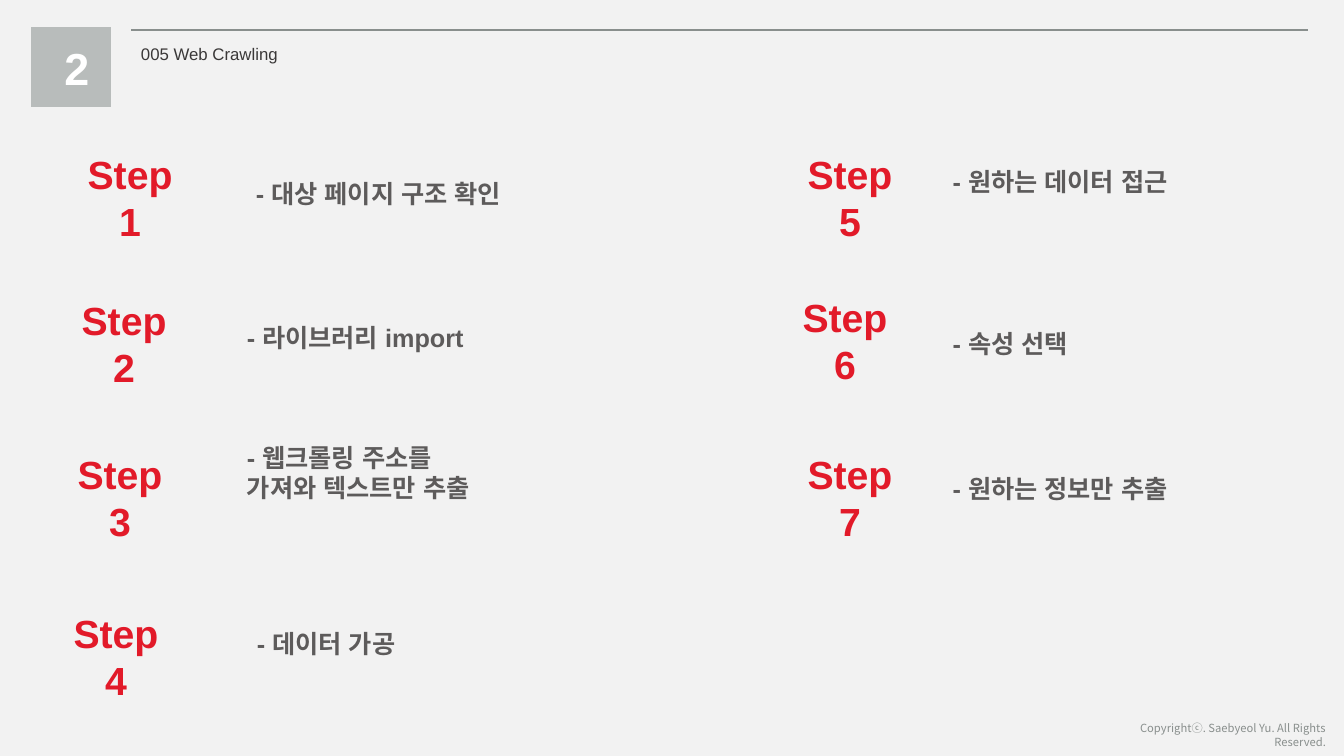
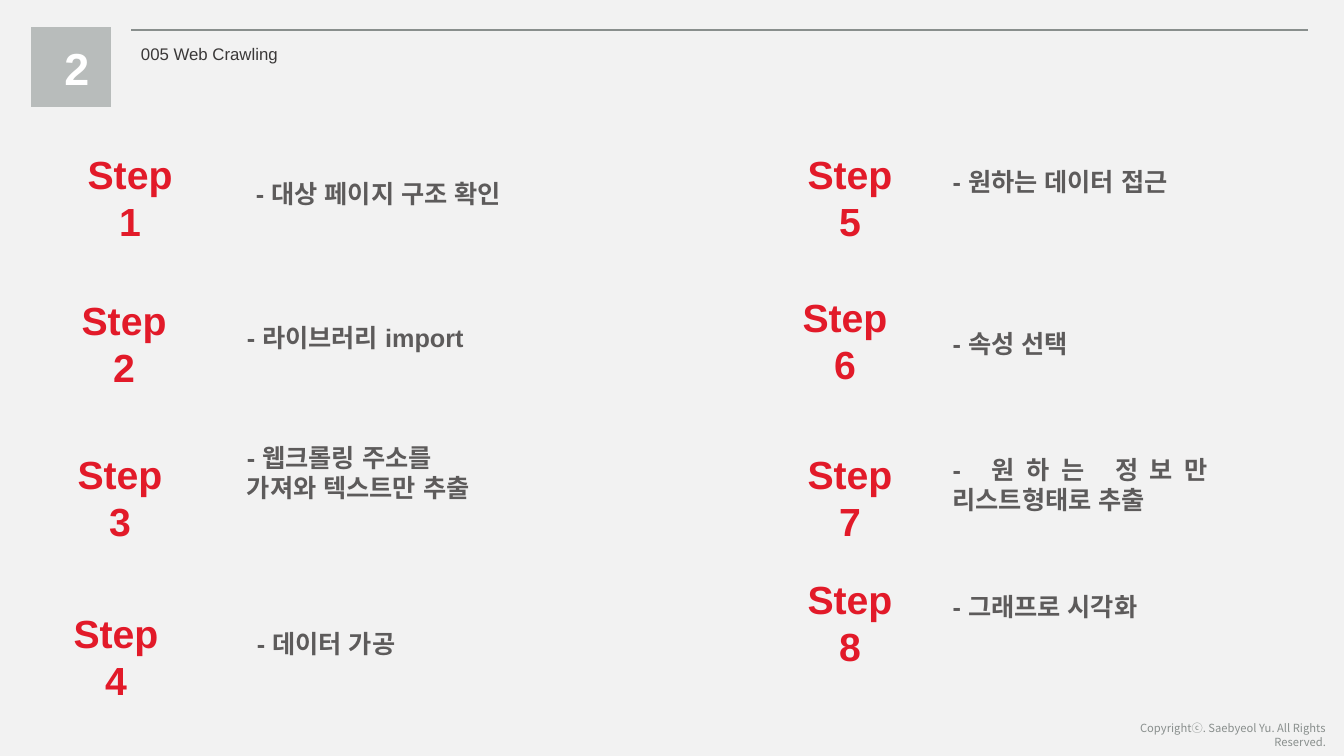
from pptx import Presentation
from pptx.dml.color import RGBColor
from pptx.enum import shapes, text
from pptx.oxml.ns import qn
from pptx.util import Inches, Pt
from lxml import etree

COLORS = {
    "paper": "F2F2F2", "badge": "B8BCBB", "rule": "898F8D", "white": "FFFFFF",
    "title": "3A3838", "step": "E21A29", "body": "5D5B5B",
}
ALIGN = text.PP_ALIGN

# Text styles shared by both slides
STYLES = {
    "badge": {"size": Pt(32), "bold": True, "name": "Arial"},
    "title": {"size": Pt(12), "bold": False, "name": "Arial"},
    "step": {"size": Pt(28), "bold": True, "name": "Arial"},
    "body": {"size": Pt(18), "bold": True, "name": "Arial"},
    "footer": {"size": Pt(8), "bold": False, "name": "Noto Sans CJK KR"},
}

# Step number: left and top of its label
LABELS = {
    1: (0.68, 1.44), 2: (0.62, 2.89), 3: (0.58, 4.42), 4: (0.54, 6),
    5: (7.82, 1.44), 6: (7.77, 2.86), 7: (7.82, 4.42), 8: (7.82, 5.66),
}

# Step number: left, top, width, height, alignment and wording
COMMON_STEPS = {
    1: (2.44, 1.72, 2.83, 0.4, ALIGN.JUSTIFY, "- 대상 페이지 구조 확인"),
    2: (2.35, 3.15, 2.83, 0.4, ALIGN.JUSTIFY, "- 라이브러리 import"),
    3: (2.35, 4.34, 2.71, 0.71, ALIGN.LEFT, "- 웹크롤링 주소를\n가져와 텍스트만 추출"),
    4: (2.45, 6.18, 2.73, 0.4, ALIGN.JUSTIFY, "- 데이터 가공"),
    5: (9.35, 1.6, 2.73, 0.4, ALIGN.JUSTIFY, "- 원하는 데이터 접근"),
    6: (9.35, 3.21, 2.73, 0.4, ALIGN.JUSTIFY, "- 속성 선택"),
}
EXTRACT_TEXT = {
    7: (9.35, 4.65, 2.73, 0.4, ALIGN.JUSTIFY, "- 원하는 정보만 추출"),
}
EXTRACT_AND_PLOT = {
    7: (9.35, 4.46, 2.73, 0.71, ALIGN.JUSTIFY, "- 원하는 정보만 리스트형태로 추출"),
    8: (9.35, 5.82, 2.73, 0.4, ALIGN.JUSTIFY, "- 그래프로 시각화"),
}


def color(name):
    return RGBColor.from_string(COLORS[name])


def add_text(page, wording, place, style, tint, align=ALIGN.LEFT, wrap=True):
    box = page.shapes.add_textbox(*map(Inches, place))
    frame = box.text_frame
    frame.word_wrap = wrap
    frame.auto_size = text.MSO_AUTO_SIZE.SHAPE_TO_FIT_TEXT
    para = frame.paragraphs[0]
    para.alignment = align
    for index, line in enumerate(wording.split("\n")):
        if index:
            para.add_line_break()
        span = para.add_run()
        span.text = line
        for key, value in STYLES[style].items():
            setattr(span.font, key, value)
        span.font.color.rgb = color(tint)
        # Korean letters follow the same font
        east_asian = etree.SubElement(span.font._element, qn("a:ea"))
        east_asian.set("typeface", STYLES[style]["name"])


def add_rule(page):
    rule = page.shapes.add_connector(
        shapes.MSO_CONNECTOR.STRAIGHT,
        Inches(1.3), Inches(0.3), Inches(12.97), Inches(0.3))
    rule.line.color.rgb = color("rule")
    rule.line.width = Pt(1.5)
    etree.SubElement(rule._element.spPr, qn("a:effectLst"))


def add_badge(page, number):
    badge = page.shapes.add_shape(
        shapes.MSO_SHAPE.RECTANGLE,
        Inches(0.31), Inches(0.27), Inches(0.79), Inches(0.79))
    badge.shadow.inherit = False
    badge.fill.solid()
    badge.fill.fore_color.rgb = color("badge")
    badge.line.fill.background()
    add_text(page, number, (0.54, 0.35, 0.28, 0.64), "badge", "white", ALIGN.CENTER)


def add_page(deck):
    page = deck.slides.add_slide(deck.slide_layouts[6])
    # Footer
    add_text(page, "Copyrightⓒ. Saebyeol Yu. All Rights Reserved.",
             (10.8, 7.11, 2.45, 0.24), "footer", "rule", ALIGN.RIGHT)
    # Header
    add_rule(page)
    add_badge(page, "2")
    add_text(page, "005 Web Crawling", (1.3, 0.38, 1.57, 0.3), "title", "title", wrap=False)
    return page


def add_steps(page, steps):
    for number, (left, top, width, height, align, wording) in steps.items():
        add_text(page, f"Step{number}", (*LABELS[number], 1.22, 1.04),
                 "step", "step", ALIGN.CENTER)
        add_text(page, wording, (left, top, width, height), "body", "body", align)


def main():
    deck = Presentation()
    deck.slide_width, deck.slide_height = Inches(13.33), Inches(7.5)
    paper = deck.slide_master.background.fill
    paper.solid()
    paper.fore_color.rgb = color("paper")
    for last_steps in (EXTRACT_TEXT, EXTRACT_AND_PLOT):
        add_steps(add_page(deck), COMMON_STEPS | last_steps)
    deck.save("out.pptx")


if __name__ == "__main__":
    main()
